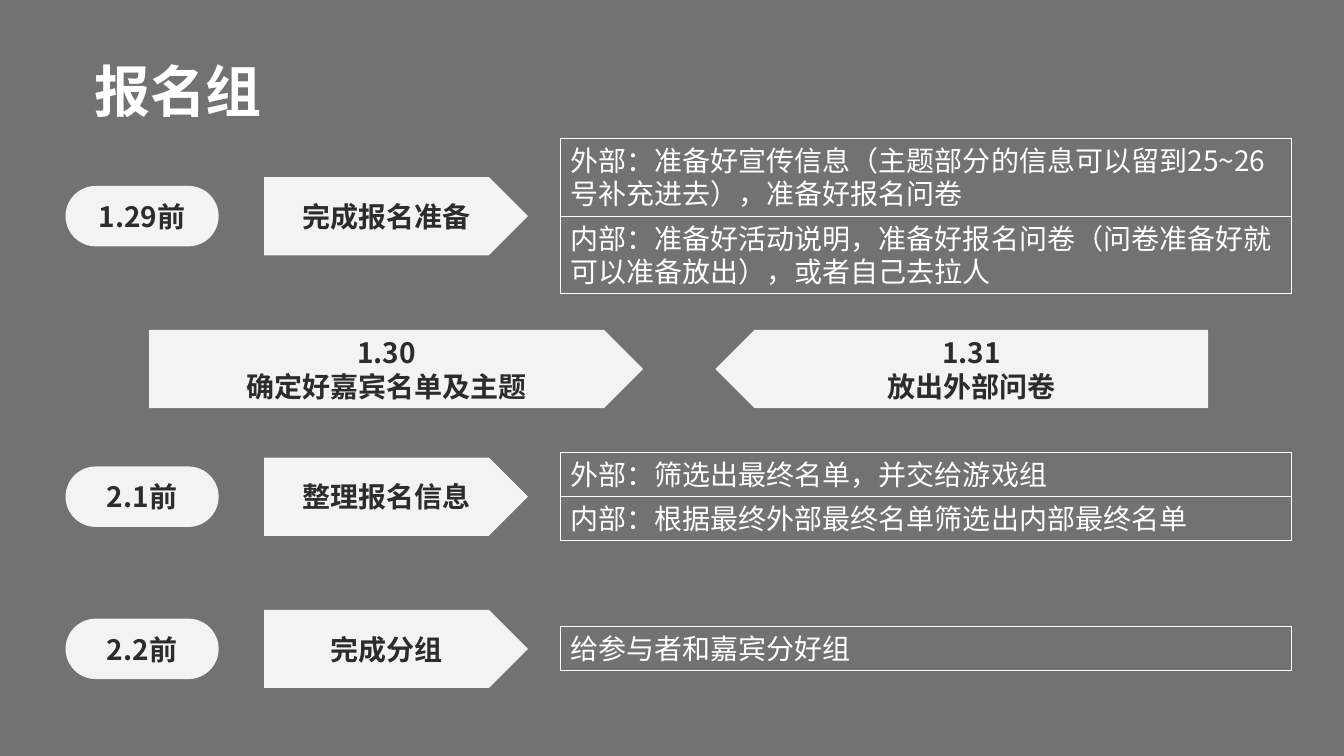
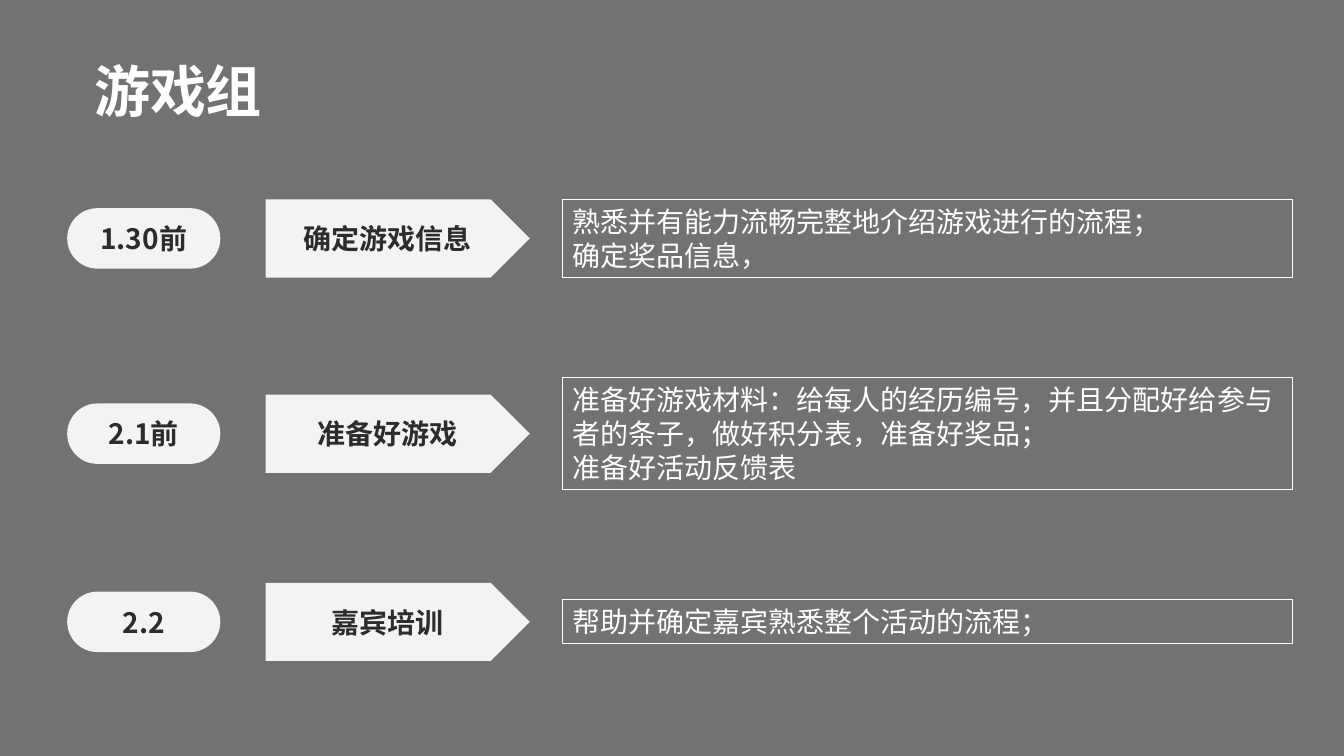
from pptx import Presentation
from pptx import util as u
from pptx.dml.color import RGBColor
from pptx.enum import shapes, text
from pptx.oxml.xmlchemy import OxmlElement

Pt = u.Pt

# Content: rows hold centre height, date, task and boxes of (lines, paragraphs)
SLIDES = [
    {
        "title": "报名组",
        "left": 46.8,
        "rows": [
            (154.4, "1.29前", "完成报名准备", [
                (2, ["外部：准备好宣传信息（主题部分的信息可以留到25~26号补充进去），准备好报名问卷"]),
                (2, ["内部：准备好活动说明，准备好报名问卷（问卷准备好就可以准备放出），或者自己去拉人"]),
            ]),
            (354.8, "2.1前", "整理报名信息", [
                (1, ["外部：筛选出最终名单，并交给游戏组"]),
                (1, ["内部：根据最终外部最终名单筛选出内部最终名单"]),
            ]),
            (463.5, "2.2前", "完成分组", [(1, ["给参与者和嘉宾分好组"])]),
        ],
        # Left, width, pointing left, paragraphs
        "milestones": [
            (106.6, 352.8, False, ["1.30", "确定好嘉宾名单及主题"]),
            (511, 352, True, ["1.31", "放出外部问卷"]),
        ],
    },
    {
        "title": "游戏组",
        "left": 48,
        "rows": [
            (170.3, "1.30前", "确定游戏信息", [
                (2, ["熟悉并有能力流畅完整地介绍游戏进行的流程；", "确定奖品信息，"]),
            ]),
            (309.8, "2.1前", "准备好游戏", [
                (3, ["准备好游戏材料：给每人的经历编号，并且分配好给参与者的条子，做好积分表，准备好奖品；",
                     "准备好活动反馈表"]),
            ]),
            (444.2, "2.2", "嘉宾培训", [(1, ["帮助并确定嘉宾熟悉整个活动的流程；"])]),
        ],
        "milestones": [],
    },
]

# Shared look
COLORS = {"back": "727272", "light": "FFFFFF", "dark": "2C2C2C"}
FONT = "Noto Sans CJK SC"
OPACITY = 92
PILL = (109.4, 43.2)
ARROW_OFFSET, ARROW = 141.8, (188.6, 55.8)
BOX_OFFSET, BOX_WIDTH = 353.5, 522
LINE_HEIGHT, BOX_PADDING = 24.2, 7.2
MILESTONE_CENTRE = 263.6
TITLE_AREA = (60, 32, 620.6, 71)
STYLES = {
    "title": {"size": Pt(40), "bold": True, "color": "light",
              "align": text.PP_ALIGN.LEFT, "anchor": text.MSO_ANCHOR.MIDDLE, "spacing": 0.9},
    "label": {"size": Pt(20), "bold": True, "color": "dark",
              "align": text.PP_ALIGN.CENTER, "anchor": text.MSO_ANCHOR.MIDDLE, "spacing": None},
    "box": {"size": Pt(20), "bold": False, "color": "light",
            "align": text.PP_ALIGN.LEFT, "anchor": text.MSO_ANCHOR.TOP, "spacing": None},
}


def rgb(name):
    return RGBColor.from_string(COLORS[name])


def write(shape, paragraphs, style_name):
    style = STYLES[style_name]
    frame = shape.text_frame
    settings = {"word_wrap": True, "auto_size": text.MSO_AUTO_SIZE.NONE,
                "vertical_anchor": style["anchor"]}
    for key, value in settings.items():
        setattr(frame, key, value)
    for index, words in enumerate(paragraphs):
        para = frame.add_paragraph() if index else frame.paragraphs[0]
        para.alignment = style["align"]
        para.line_spacing = style["spacing"]
        span = para.add_run()
        span.text = words
        for key, value in {"name": FONT, "size": style["size"], "bold": style["bold"]}.items():
            setattr(span.font, key, value)
        span.font.color.rgb = rgb(style["color"])
    # East Asian text needs its own font entry
    for properties in shape.element.xpath(".//a:rPr"):
        east_asian = OxmlElement("a:ea")
        east_asian.set("typeface", FONT)
        properties.append(east_asian)


def add_shape(page, kind, left, centre, size, paragraphs, style_name):
    width, height = size
    shape = page.shapes.add_shape(kind, Pt(left), Pt(centre - height / 2), Pt(width), Pt(height))
    shape.shadow.inherit = False
    write(shape, paragraphs, style_name)
    return shape


def add_label(page, kind, left, centre, size, paragraphs):
    label = add_shape(page, kind, left, centre, size, paragraphs, "label")
    label.fill.solid()
    label.fill.fore_color.rgb = rgb("light")
    label.line.fill.background()
    alpha = OxmlElement("a:alpha")
    alpha.set("val", str(OPACITY * 1000))
    label.element.xpath("./p:spPr/a:solidFill/a:srgbClr")[0].append(alpha)
    return label


def add_boxes(page, left, centre, boxes):
    heights = [lines * LINE_HEIGHT + BOX_PADDING for lines, _ in boxes]
    top = centre - sum(heights) / 2
    for height, (_, paragraphs) in zip(heights, boxes):
        box = add_shape(page, shapes.MSO_SHAPE.RECTANGLE, left, top + height / 2,
                        (BOX_WIDTH, height), paragraphs, "box")
        box.fill.background()
        box.line.color.rgb = rgb("light")
        box.line.width = Pt(0.75)
        top += height


def add_row(page, left, centre, date, task, boxes):
    pill = add_label(page, shapes.MSO_SHAPE.ROUNDED_RECTANGLE, left, centre, PILL, [date])
    pill.adjustments[0] = 0.5
    add_label(page, shapes.MSO_SHAPE.PENTAGON, left + ARROW_OFFSET, centre, ARROW, [task])
    add_boxes(page, left + BOX_OFFSET, centre, boxes)


def add_page(deck, content):
    page = deck.slides.add_slide(deck.slide_layouts[5])
    title = page.shapes.title
    for key, value in zip(("left", "top", "width", "height"), TITLE_AREA):
        setattr(title, key, Pt(value))
    write(title, [content["title"]], "title")
    for row in content["rows"]:
        add_row(page, content["left"], *row)
    for left, width, points_left, paragraphs in content["milestones"]:
        arrow = add_label(page, shapes.MSO_SHAPE.PENTAGON, left, MILESTONE_CENTRE,
                          (width, ARROW[1]), paragraphs)
        if points_left:
            arrow.element.spPr.xfrm.set("flipH", "1")


def main():
    deck = Presentation()
    deck.slide_width, deck.slide_height = Pt(960), Pt(540)
    backdrop = deck.slide_master.background.fill
    backdrop.solid()
    backdrop.fore_color.rgb = rgb("back")
    for content in SLIDES:
        add_page(deck, content)
    deck.save("out.pptx")


if __name__ == "__main__":
    main()
